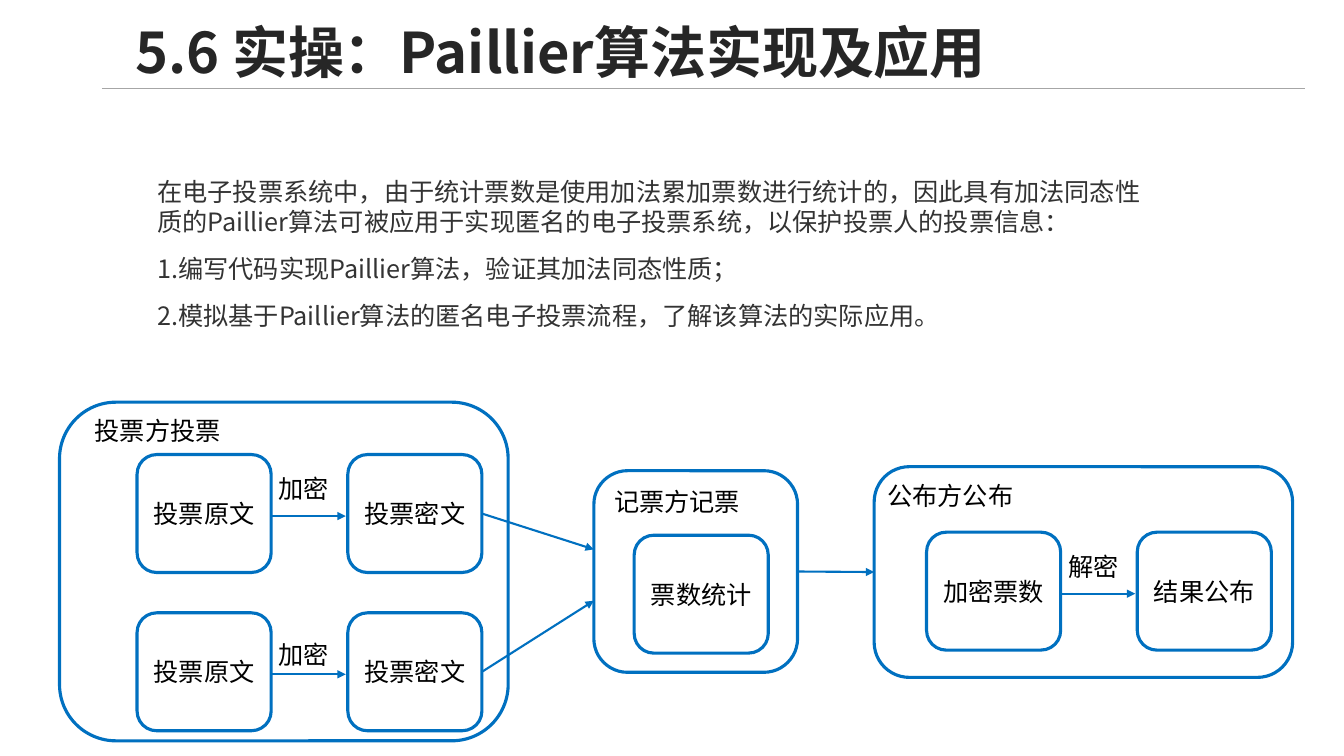
from lxml import etree
from pptx import Presentation
from pptx.dml.color import RGBColor
from pptx.enum.shapes import MSO_CONNECTOR, MSO_SHAPE
from pptx.enum.text import MSO_ANCHOR, PP_ALIGN
from pptx.oxml.ns import qn
from pptx.util import Pt

PX = 9144
FONT = "Noto Sans CJK SC"
COLORS = {
    "title": "262626",
    "body": "333333",
    "label": "000000",
    "panel": "FFFFFF",
    "flow": "0070C0",
    "rule": "A6A6A6",
}
STRAIGHT = MSO_CONNECTOR.STRAIGHT
ROUNDED = MSO_SHAPE.ROUNDED_RECTANGLE
LEFT, CENTER = PP_ALIGN.LEFT, PP_ALIGN.CENTER
TOP, MIDDLE = MSO_ANCHOR.TOP, MSO_ANCHOR.MIDDLE
LEFT_SIDE, RIGHT_SIDE = 1, 3
STEP_WIDTH, STEP_HEIGHT, STEP_PITCH = 133, 117, 209

TITLE = "5.6 实操：Paillier算法实现及应用"
BODY = [
    "在电子投票系统中，由于统计票数是使用加法累加票数进行统计的，因此具有加法同态性质的Paillier算法可被应用于实现匿名的电子投票系统，以保护投票人的投票信息：",
    "1.编写代码实现Paillier算法，验证其加法同态性质；",
    "2.模拟基于Paillier算法的匿名电子投票流程，了解该算法的实际应用。",
]


def color(name):
    """Return the named colour."""
    return RGBColor.from_string(COLORS[name])


def emu(*lengths):
    """Turn px lengths into EMU."""
    return [length * PX for length in lengths]


def place(box, left, top, width, height):
    """Move and size a placeholder."""
    box.left, box.top, box.width, box.height = emu(left, top, width, height)


def style(para, size, color_name, align, bold=False):
    """Format a whole paragraph."""
    para.alignment = align
    para.font.name = FONT
    para.font.size = Pt(size)
    para.font.bold = bold
    para.font.color.rgb = color(color_name)
    defaults = para._p.pPr.find(qn("a:defRPr"))
    etree.SubElement(defaults, qn("a:ea"), typeface=FONT)


def write(box, text, anchor):
    """Put one centred label into a shape or text box."""
    frame = box.text_frame
    frame.word_wrap = True
    frame.vertical_anchor = anchor
    frame.text = text
    style(frame.paragraphs[0], 18, "label", CENTER)


def add_title(page):
    """Fill the title placeholder."""
    title = page.shapes.title
    place(title, 124, 15, 1161, 79)
    title.text_frame.text = TITLE
    title.text_frame.vertical_anchor = MIDDLE
    para = title.text_frame.paragraphs[0]
    para.line_spacing = 0.9
    style(para, 40, "title", LEFT, bold=True)


def add_body(page):
    """Fill the body placeholder with unbulleted paragraphs."""
    body = page.placeholders[1]
    place(body, 146, 169, 1007, 165)
    frame = body.text_frame
    frame.vertical_anchor = MIDDLE
    frame.text = "\n".join(BODY)
    for para in frame.paragraphs:
        para.space_before = Pt(0)
        para.space_after = Pt(12)
        properties = para._p.get_or_add_pPr()
        properties.set("marL", "0")
        properties.set("indent", "0")
        etree.SubElement(properties, qn("a:buNone"))
        style(para, 18, "body", LEFT)


def add_label(page, text, left, top, width):
    """Add a free label."""
    write(page.shapes.add_textbox(*emu(left, top, width, 40)), text, TOP)


def add_box(page, left, top, width, height):
    """Add a rounded outline box."""
    box = page.shapes.add_shape(ROUNDED, *emu(left, top, width, height))
    box.shadow.inherit = False
    box.fill.solid()
    box.fill.fore_color.rgb = color("panel")
    box.line.color.rgb = color("flow")
    box.line.width = Pt(2.25)
    return box


def add_step(page, text, left, top):
    """Add a step box with its name."""
    step = add_box(page, left, top, STEP_WIDTH, STEP_HEIGHT)
    write(step, text, MIDDLE)
    return step


def add_line(page, start, end, color_name, width):
    """Add a plain straight line."""
    line = page.shapes.add_connector(STRAIGHT, *emu(*start, *end))
    line.line.color.rgb = color(color_name)
    line.line.width = Pt(width)
    etree.SubElement(line._element.spPr, qn("a:effectLst"))
    return line


def add_arrow(page, start, end):
    """Add a flow arrow."""
    arrow = add_line(page, start, end, "flow", 1.5)
    etree.SubElement(arrow.line._get_or_add_ln(), qn("a:tailEnd"), type="triangle")
    return arrow


def add_pair(page, left, top, source, action, result, label_drop):
    """Add two steps joined by a named arrow and return the second."""
    add_step(page, source, left, top)
    target = add_step(page, result, left + STEP_PITCH, top)
    right, arrow_top = left + STEP_WIDTH, top + 61
    add_arrow(page, (right, arrow_top), (right + 74, arrow_top))
    add_label(page, action, left + 125, top + label_drop, 81)
    return target


def main():
    """Build the slide."""
    deck = Presentation()
    deck.slide_width, deck.slide_height = emu(1333, 750)
    page = deck.slides.add_slide(deck.slide_layouts[1])
    add_line(page, (101, 88), (1294, 88), "rule", 1)
    add_title(page)
    add_body(page)

    add_box(page, 59, 399, 445, 336)
    add_label(page, "投票方投票", 66, 407, 181)
    ballots = [
        add_pair(page, 136, top, "投票原文", "加密", "投票密文", drop)
        for top, drop in ((451, 14), (608, 21))
    ]

    counter = add_box(page, 589, 467, 202, 200)
    add_step(page, "票数统计", 629, 531)
    add_label(page, "记票方记票", 581, 478, 181)
    for ballot, start_top, end_top in zip(ballots, (510, 666), (545, 596)):
        arrow = add_arrow(page, (478, start_top), (589, end_top))
        arrow.begin_connect(ballot, RIGHT_SIDE)

    publisher = add_box(page, 867, 463, 415, 209)
    add_label(page, "公布方公布", 852, 472, 181)
    add_pair(page, 919, 528, "加密票数", "解密", "结果公布", 14)
    arrow = add_arrow(page, (791, 567), (867, 567))
    arrow.begin_connect(counter, RIGHT_SIDE)
    arrow.end_connect(publisher, LEFT_SIDE)

    deck.save("out.pptx")


if __name__ == "__main__":
    main()
